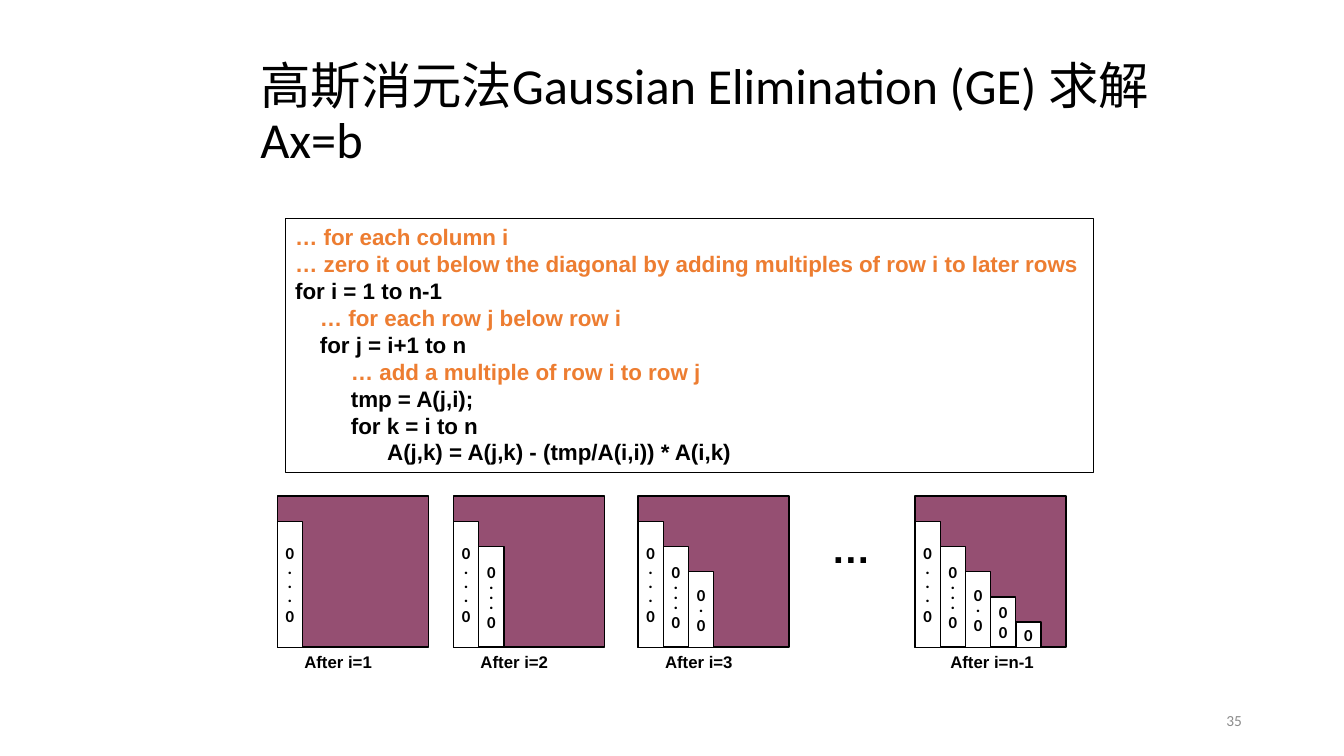
import pptx
import pptx.util
import pptx.dml.color
import pptx.enum.shapes
import pptx.enum.text

Cm = pptx.util.Cm
Pt = pptx.util.Pt
RGB = pptx.dml.color.RGBColor.from_string
Anchor = pptx.enum.text.MSO_ANCHOR
Align = pptx.enum.text.PP_ALIGN

colors = {"ink": "000000", "comment": "ED7D31", "matrix": "954F72",
          "zeros": "FFFFFF", "number": "8C8C8C"}


def add_box(place, fill=None):
    box = page.shapes.add_shape(pptx.enum.shapes.MSO_SHAPE.RECTANGLE, *map(Cm, place))
    box.shadow.inherit = False
    box.line.color.rgb = RGB(colors["ink"])
    box.line.width = Pt(1)
    if fill:
        box.fill.solid()
        box.fill.fore_color.rgb = RGB(colors[fill])
    else:
        box.fill.background()
    return box


def write(box, lines, font, align=Align.LEFT, **frame_format):
    frame = box.text_frame
    settings = {"word_wrap": False, "vertical_anchor": Anchor.TOP}
    settings.update(frame_format)
    for name, value in settings.items():
        setattr(frame, name, value)
    for index, (words, color, spacing) in enumerate(lines):
        para = frame.paragraphs[0] if index == 0 else frame.add_paragraph()
        para.alignment = align
        para.line_spacing = spacing
        span = para.add_run()
        span.text = words
        span.font.color.rgb = RGB(colors[color])
        for name, value in font.items():
            setattr(span.font, name, value)


deck = pptx.Presentation()
deck.slide_width = Cm(33.87)
deck.slide_height = Cm(19.05)
page = deck.slides.add_slide(deck.slide_layouts[6])

number = page.shapes.add_textbox(Cm(23.93), Cm(17.65), Cm(7.62), Cm(1.02))
write(number, [("35", "number", 1.0)], {"name": "Calibri", "size": Pt(11)},
      Align.RIGHT, word_wrap=True, vertical_anchor=Anchor.MIDDLE)

title = page.shapes.add_textbox(Cm(6.38), Cm(1.45), Cm(23.24), Cm(2.92))
write(title, [("高斯消元法Gaussian Elimination (GE) 求解Ax=b", "ink", 0.9)],
      {"name": "Calibri", "size": Pt(36)}, word_wrap=True,
      margin_left=Cm(0.18), margin_right=Cm(0.18),
      margin_top=Cm(0.08), margin_bottom=Cm(0.08))

code = """… for each column i
… zero it out below the diagonal by adding multiples of row i to later rows
for i = 1 to n-1
    … for each row j below row i
    for j = i+1 to n
         … add a multiple of row i to row j
         tmp = A(j,i);
         for k = i to n
               A(j,k) = A(j,k) - (tmp/A(i,i)) * A(i,k)"""
code_lines = [(line, "comment" if line.lstrip().startswith("…") else "ink", 1.0)
              for line in code.splitlines()]
write(add_box((7.19, 5.51, 20.37, 6.4)), code_lines,
      {"name": "Arial", "size": Pt(16), "bold": True})

side, top = 3.81, 12.5
step = side / 6
zero_columns = [("0...0", 0.7), ("0...0", 0.5), ("0.0", 0.5), ("00", 1.0), ("0", 1.0)]
matrices = [
    (6.99, 1, "After i=1", 7.42, 2.21),
    (11.43, 2, "After i=2", 11.86, 2.21),
    (16.08, 3, "After i=3", 16.51, 2.21),
    (23.06, 5, "After i=n-1", 23.7, 2.62),
]
for left, count, caption, caption_left, caption_width in matrices:
    add_box((left, top, side, side), "matrix")
    for column, (marks, dot_spacing) in enumerate(zero_columns[:count]):
        drop = step * (column + 1)
        zeros = add_box((left + step * column, top + drop, step, side - drop), "zeros")
        write(zeros, [(mark, "ink", dot_spacing if mark == "." else 1.0) for mark in marks],
              {"name": "Calibri", "size": Pt(12), "bold": True},
              Align.CENTER, vertical_anchor=Anchor.MIDDLE)
    label = page.shapes.add_textbox(Cm(caption_left), Cm(top + side), Cm(caption_width), Cm(0.76))
    write(label, [(caption, "ink", 1.0)], {"name": "Arial", "size": Pt(12), "bold": True})

ellipsis = page.shapes.add_textbox(Cm(20.7), Cm(13.08), Cm(1.5), Cm(1.45))
write(ellipsis, [("…", "ink", 1.0)], {"name": "Arial", "size": Pt(28), "bold": True})

deck.save("out.pptx")
